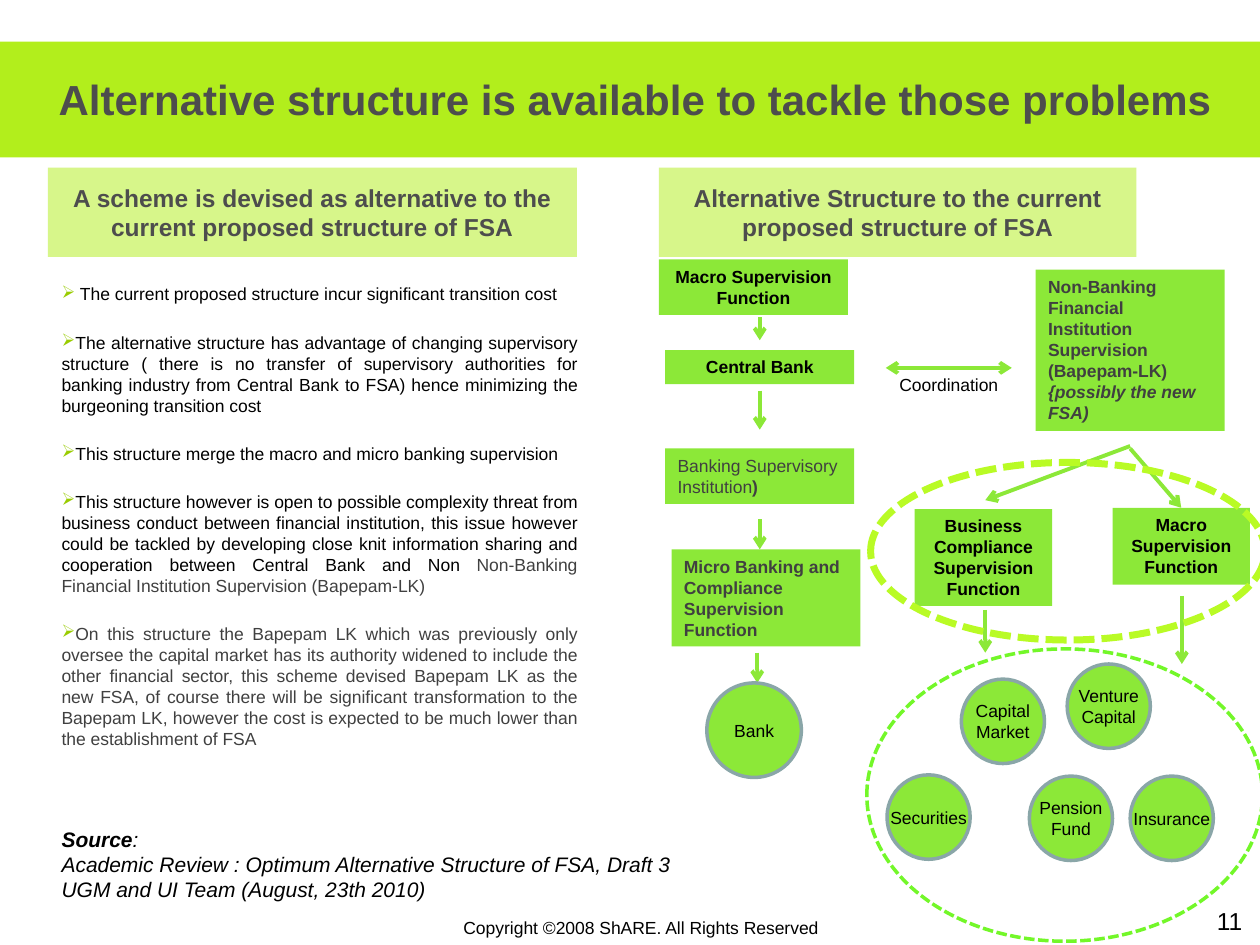
"""Build the slide on an alternative structure for financial supervision."""
from lxml import etree
from pptx import Presentation
from pptx.dml.color import RGBColor
from pptx.enum.dml import MSO_LINE
from pptx.enum.shapes import MSO_CONNECTOR, MSO_SHAPE
from pptx.enum.text import MSO_ANCHOR, PP_ALIGN
from pptx.oxml.ns import qn
from pptx.util import Inches, Pt

RECT, OVAL = MSO_SHAPE.RECTANGLE, MSO_SHAPE.OVAL
LEFT, MID, FULL = PP_ALIGN.LEFT, PP_ALIGN.CENTER, PP_ALIGN.JUSTIFY
TOP, CENTER = MSO_ANCHOR.TOP, MSO_ANCHOR.MIDDLE
STRAIGHT, DASH = MSO_CONNECTOR.STRAIGHT, MSO_LINE.SQUARE_DOT


class Theme:
    font = "Arial"
    black, gray, soft = "000000", "4D4D4D", "404040"
    band, pale, green = "B2EE1C", "D7F68A", "8CE838"
    rim, mark, lime, neon = "8AA6A8", "99CC00", "B9FB25", "73F729"
    title, head, page, source, small = 24, 14, 14, 12, 10


def write(shape, lines, size, color=Theme.black, style="", align=MID, anchor=TOP, wrap=True):
    """Fill a shape; each line is a string or a list of (text, style, color) runs."""
    frame = shape.text_frame
    frame.word_wrap = wrap
    frame.vertical_anchor = anchor
    for i, line in enumerate(lines):
        para = frame.add_paragraph() if i else frame.paragraphs[0]
        para.alignment = align
        for text, look, tint in [(line, style, color)] if isinstance(line, str) else line:
            run = para.add_run()
            run.text = text
            font = run.font
            font.name, font.size = Theme.font, Pt(size)
            font.bold, font.italic = "b" in look, "i" in look
            font.color.rgb = RGBColor.from_string(tint)
    return frame


def draw(kind, spot, fill=None, line=None, width=2):
    """Add a preset shape with a plain fill and outline."""
    shape = slide.shapes.add_shape(kind, *map(Inches, spot))
    shape.shadow.inherit = False
    if fill:
        shape.fill.solid()
        shape.fill.fore_color.rgb = RGBColor.from_string(fill)
    else:
        shape.fill.background()
    if line:
        shape.line.color.rgb = RGBColor.from_string(line)
        shape.line.width = Pt(width)
    else:
        shape.line.fill.background()
    return shape


deck = Presentation()
deck.slide_width, deck.slide_height = Inches(10), Inches(7.5)
slide = deck.slides.add_slide(deck.slide_layouts[6])

draw(RECT, (0, 0.33, 10, 0.92), Theme.band)

heads = [
    ((0.38, 1.33, 4.2, 0.71), "A scheme is devised as alternative to the current proposed structure of FSA"),
    ((5.23, 1.33, 3.79, 0.71), "Alternative Structure to the current proposed structure of FSA"),
]
for spot, text in heads:
    write(draw(RECT, spot, Theme.pale), [text], Theme.head, Theme.gray, "b", anchor=CENTER)

notes = [
    ((0.25, 0.22, 9.58, 1.12), ["Alternative structure is available to tackle those problems"],
     Theme.title, Theme.gray, "b", MID, CENTER, True),
    ((3.58, 7.23, 3.06, 0.27), ["Copyright ©2008 ShARE. All Rights Reserved"],
     Theme.small, Theme.black, "", LEFT, TOP, False),
    ((9.56, 7.14, 0.44, 0.33), ["11"], Theme.page, Theme.black, "", LEFT, TOP, False),
    ((6.78, 2.92, 1.5, 0.27), ["Coordination"], Theme.small, Theme.black, "", MID, TOP, True),
    ((0.39, 6.51, 6.02, 0.71),
     [[("Source", "bi", Theme.black), (":", "i", Theme.black)],
      "Academic Review : Optimum Alternative Structure of FSA, Draft 3",
      "UGM and UI Team (August, 23th 2010)"],
     Theme.source, Theme.black, "i", LEFT, TOP, True),
]
for spot, *rest in notes:
    write(slide.shapes.add_textbox(*map(Inches, spot)), *rest)

points = [
    " The current proposed structure incur significant transition cost",
    "The alternative structure has advantage of changing supervisory structure "
    "( there is no transfer of supervisory authorities for banking industry from "
    "Central Bank to FSA) hence minimizing the burgeoning transition cost",
    "This structure merge the macro and micro banking supervision",
    [("This structure however is open to possible complexity threat from business "
      "conduct between financial institution, this issue however could be tackled by "
      "developing close knit information sharing and cooperation between Central Bank "
      "and Non ", "", Theme.black),
     ("Non-Banking Financial Institution Supervision (Bapepam-LK)", "", Theme.soft)],
    [("On this structure the Bapepam LK which was previously only oversee the capital "
      "market has its authority widened to include the other financial sector, this "
      "scheme devised Bapepam LK as the new FSA, of course there will be significant "
      "transformation to the Bapepam LK, however the cost is expected to be much lower "
      "than the establishment of FSA", "", Theme.soft)],
]
body = slide.shapes.add_textbox(*map(Inches, (0.39, 2.2, 4.29, 4.31)))
for i, para in enumerate(write(body, points, Theme.small, align=FULL).paragraphs):
    if i:
        para.space_before = Pt(15.5)
    props = para._p.get_or_add_pPr()
    tint = etree.SubElement(props, qn("a:buClr"))
    etree.SubElement(tint, qn("a:srgbClr"), val=Theme.mark)
    etree.SubElement(props, qn("a:buChar"), char="➢")

boxes = [
    ((5.23, 2.06, 1.5, 0.44), ["Macro Supervision Function"], Theme.black, "b", MID),
    ((5.28, 2.78, 1.5, 0.27), ["Central Bank"], Theme.black, "b", MID),
    ((5.28, 3.56, 1.5, 0.44),
     [[("Banking Supervisory Institution", "", Theme.soft), (")", "b", Theme.soft)]],
     Theme.soft, "", LEFT),
    ((5.33, 4.36, 1.5, 0.77), ["Micro Banking and Compliance Supervision Function"],
     Theme.soft, "b", LEFT),
    ((8.22, 2.14, 1.5, 1.28),
     [[("Non-Banking Financial Institution Supervision (Bapepam-LK) ", "b", Theme.soft),
       ("{possibly the new FSA)", "bi", Theme.soft)]],
     Theme.soft, "b", LEFT),
    ((7.26, 4.04, 1.09, 0.77), ["Business Compliance Supervision Function"], Theme.black, "b", MID),
    ((8.83, 4.03, 1.09, 0.61), ["Macro", "Supervision Function"], Theme.black, "b", MID),
]
for spot, lines, *look in boxes:
    macro = draw(RECT, spot, Theme.green)
    write(macro, lines, Theme.small, *look)

arrows = [
    (6.03, 2.52, 6.03, 2.7), (6.03, 3.1, 6.03, 3.41), (6.03, 4.12, 6.03, 4.36),
    (6.01, 5.18, 6.01, 5.42), (7.03, 2.92, 8.03, 2.92), (8.97, 3.54, 7.82, 3.97),
    (7.82, 4.84, 7.82, 5.18), (9.38, 4.73, 9.38, 5.27), (8.97, 3.56, 9.38, 4.03),
]
for x, y, right, down in arrows:
    link = slide.shapes.add_connector(STRAIGHT, *map(Inches, (x, y, right, down)))
    link.line.color.rgb = RGBColor.from_string(Theme.green)
    link.line.width = Pt(2.25)
    edge = link.line._get_or_add_ln()
    if y == down:
        etree.SubElement(edge, qn("a:headEnd"), type="arrow")
    etree.SubElement(edge, qn("a:tailEnd"), type="arrow")
    etree.SubElement(link._element.spPr, qn("a:effectLst"))
link.end_connect(macro, 0)

rounds = [
    ((5.61, 5.42, 0.75, 0.75), ["Bank"]),
    ((7.63, 5.39, 0.66, 0.67), ["Capital", "Market"]),
    ((8.47, 5.27, 0.66, 0.67), ["Venture", "Capital"]),
    ((7.04, 6.15, 0.66, 0.67), ["Securities"]),
    ((8.17, 6.16, 0.66, 0.67), ["Pension", "Fund"]),
    ((8.97, 6.16, 0.66, 0.67), ["Insurance"]),
]
for spot, lines in rounds:
    write(draw(OVAL, spot, Theme.green, Theme.rim), lines, Theme.small, anchor=CENTER, wrap=False)

rings = [((6.88, 5.15, 3.14, 2.32), Theme.neon, 2), ((6.91, 3.67, 3.13, 1.41), Theme.lime, 4)]
for spot, color, width in rings:
    draw(OVAL, spot, None, color, width).line.dash_style = DASH

deck.save("out.pptx")
